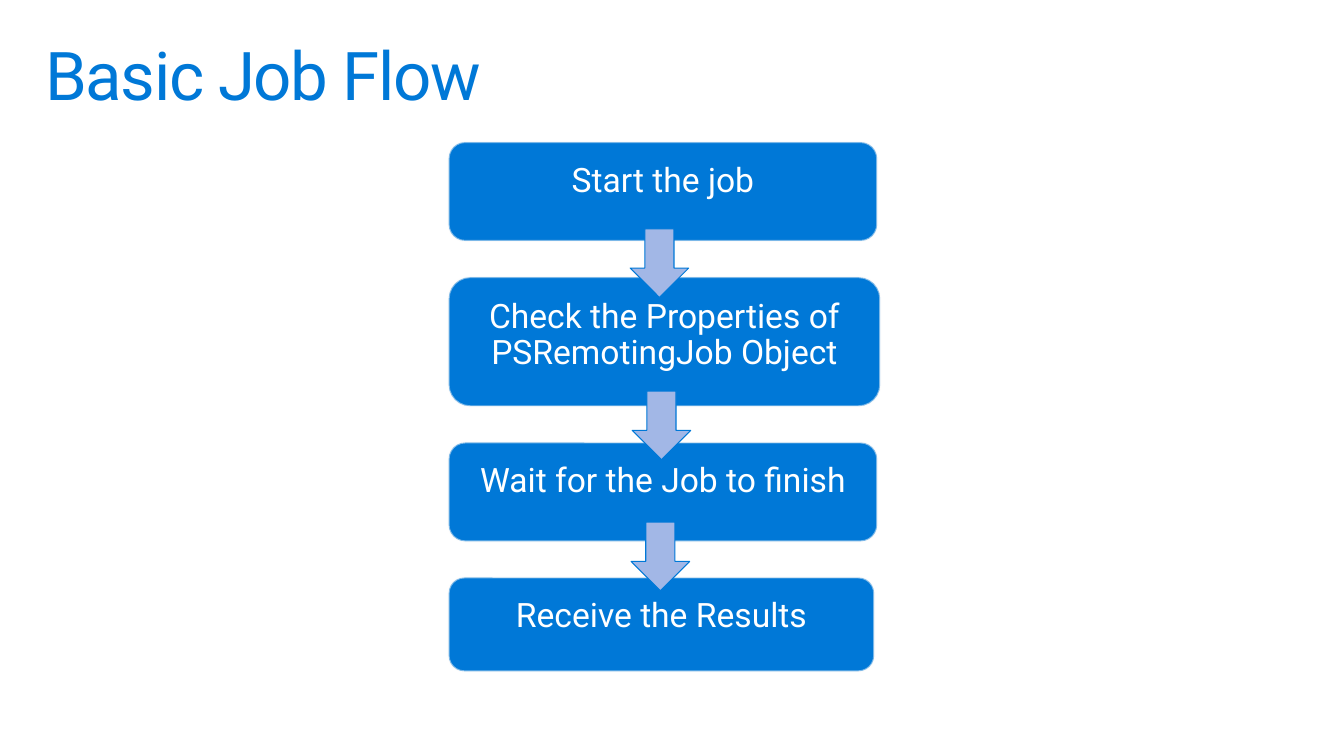
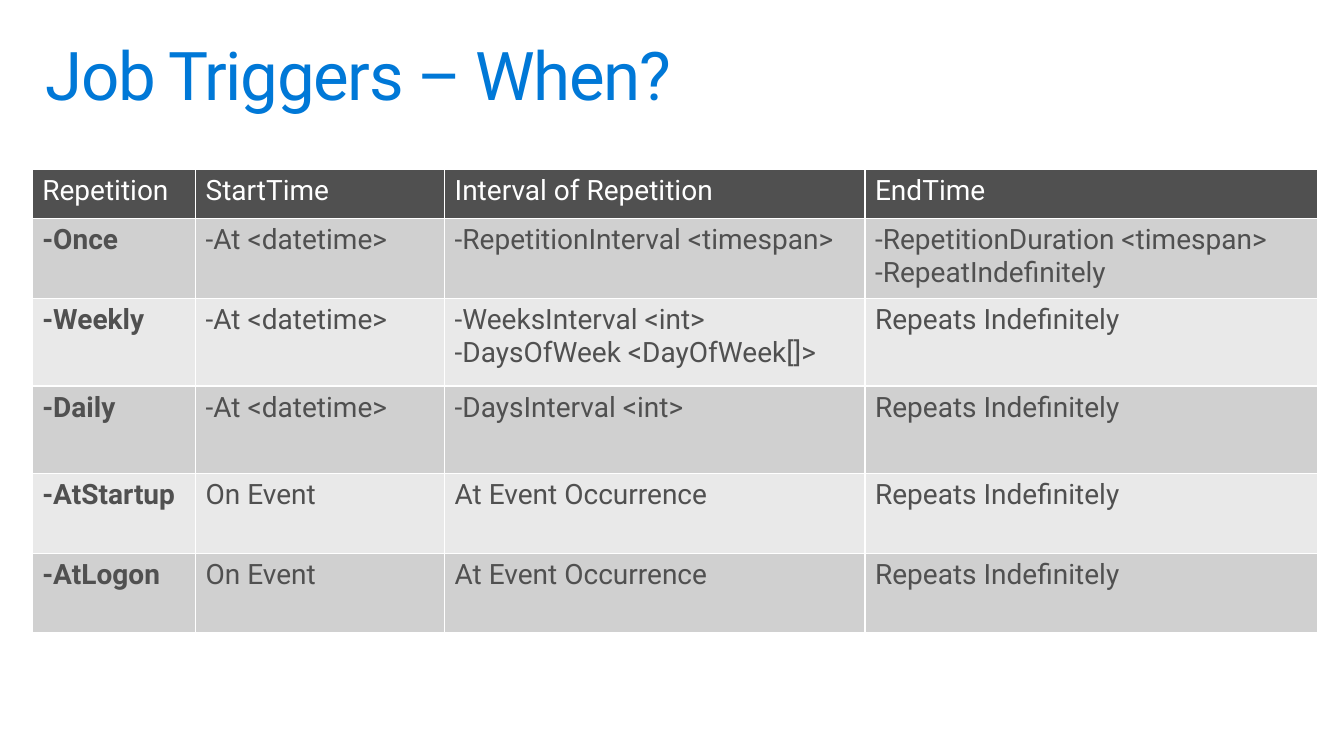
from lxml import etree
from pptx import Presentation
from pptx.dml.color import RGBColor
from pptx.enum.shapes import MSO_SHAPE
from pptx.enum.text import MSO_ANCHOR, MSO_AUTO_SIZE, PP_ALIGN
from pptx.oxml.ns import qn
from pptx.util import Inches, Pt

STEP_BOX = MSO_SHAPE.FLOWCHART_ALTERNATE_PROCESS
DOWN_ARROW = MSO_SHAPE.DOWN_ARROW
TOP = MSO_ANCHOR.TOP
NO_AUTOFIT = MSO_AUTO_SIZE.NONE
LEFT, CENTER = PP_ALIGN.LEFT, PP_ALIGN.CENTER

FONT = "Roboto"
TITLE_ONLY = 5
COLORS = {
    "blue": "0078D7",
    "outline": "F9F9F9",
    "arrow": "A2B7E6",
    "dark": "505050",
    "odd_row": "D0D0D0",
    "even_row": "E9E9E9",
    "white": "FFFFFF",
}

# Text, width and height of each step
STEPS = [
    ("Start the job", 4.25, 0.98),
    ("Check the Properties of PSRemotingJob Object", 4.28, 1.28),
    ("Wait for the Job to finish", 4.25, 0.98),
    ("Receive the Results", 4.22, 0.93),
]
STEP_LEFT, STEP_TOP, STEP_GAP = 4.45, 1.41, 0.36
ARROWS = [(6.25, 2.27), (6.27, 3.88), (6.26, 5.18)]
ARROW_WIDTH, ARROW_HEIGHT = 0.58, 0.68

COLUMN_WIDTHS = [1.62, 2.47, 4.17, 4.49]
ROW_HEIGHTS = [0.49, 0.79, 0.87, 0.87, 0.79, 0.79]
TRIGGERS = [
    ["Repetition", "StartTime", "Interval of Repetition", "EndTime"],
    ["-Once", "-At <datetime>", "-RepetitionInterval <timespan>",
     "-RepetitionDuration <timespan>\n-RepeatIndefinitely"],
    ["-Weekly", "-At <datetime>",
     "-WeeksInterval <int>\n-DaysOfWeek <DayOfWeek[]>", "Repeats Indefinitely"],
    ["-Daily", "-At <datetime>", "-DaysInterval <int>", "Repeats Indefinitely"],
    ["-AtStartup", "On Event", "At Event Occurrence", "Repeats Indefinitely"],
    ["-AtLogon", "On Event", "At Event Occurrence", "Repeats Indefinitely"],
]


def rgb(name):
    return RGBColor.from_string(COLORS[name])


class Deck:
    """Holds the shared style and the slide being built."""

    def __init__(self):
        self.presentation = Presentation()
        self.presentation.slide_width = Inches(13.33)
        self.presentation.slide_height = Inches(7.5)
        self.slide = None

    def add_slide(self, title):
        layout = self.presentation.slide_layouts[TITLE_ONLY]
        self.slide = self.presentation.slides.add_slide(layout)
        shape = self.slide.shapes.title
        shape.left, shape.top = Inches(0.29), Inches(0.32)
        shape.width, shape.height = Inches(12.75), Inches(0.98)
        self.set_text(shape.text_frame, title, 48, "blue", line_spacing=0.9)
        self.set_frame(shape.text_frame, 0.16, 0.1)
        for run in shape.text_frame.paragraphs[0].runs:
            run.font._element.set("spc", "-100")

    def set_frame(self, frame, side, edge):
        frame.word_wrap = True
        frame.auto_size = NO_AUTOFIT
        frame.vertical_anchor = TOP
        frame.margin_left = frame.margin_right = Inches(side)
        frame.margin_top = frame.margin_bottom = Inches(edge)

    def set_text(self, frame, text, size, color, bold=False, align=LEFT,
                 line_spacing=None):
        frame.text = text
        for paragraph in frame.paragraphs:
            paragraph.alignment = align
            paragraph.line_spacing = line_spacing
            font = paragraph.font
            font.name, font.size, font.bold = FONT, Pt(size), bold
            font.color.rgb = rgb(color)

    def add_shape(self, kind, left, top, width, height, fill, line, line_width):
        shape = self.slide.shapes.add_shape(
            kind, Inches(left), Inches(top), Inches(width), Inches(height))
        shape.shadow.inherit = False
        shape.fill.solid()
        shape.fill.fore_color.rgb = rgb(fill)
        shape.line.color.rgb = rgb(line)
        shape.line.width = Pt(line_width)
        return shape

    def add_step(self, text, left, top, width, height):
        shape = self.add_shape(STEP_BOX, left, top, width, height,
                               "blue", "outline", 1.35)
        line_color = shape.line._ln.find(".//" + qn("a:srgbClr"))
        etree.SubElement(line_color, qn("a:alpha"), val="50000")
        self.set_frame(shape.text_frame, 0.2, 0.16)
        self.set_text(shape.text_frame, text, 24, "white", align=CENTER,
                      line_spacing=0.9)

    def add_arrow(self, left, top):
        self.add_shape(DOWN_ARROW, left, top, ARROW_WIDTH, ARROW_HEIGHT,
                       "arrow", "blue", 0.75)

    def add_table(self, rows, left, top, column_widths, row_heights):
        table = self.slide.shapes.add_table(
            len(rows), len(column_widths), Inches(left), Inches(top),
            Inches(sum(column_widths)), Inches(sum(row_heights))).table
        for column, width in zip(table.columns, column_widths):
            column.width = Inches(width)
        for row, height in zip(table.rows, row_heights):
            row.height = Inches(height)
        for row_index, texts in enumerate(rows):
            header = row_index == 0
            band = "odd_row" if row_index % 2 else "even_row"
            for column_index, text in enumerate(texts):
                cell = table.cell(row_index, column_index)
                self.set_text(cell.text_frame, text, 20,
                              "white" if header else "dark",
                              bold=column_index == 0 and not header)
                self.set_borders(cell)
                cell.fill.solid()
                cell.fill.fore_color.rgb = rgb("dark" if header else band)

    def set_borders(self, cell):
        properties = cell._tc.get_or_add_tcPr()
        for side in ("a:lnL", "a:lnR", "a:lnT", "a:lnB"):
            line = etree.SubElement(properties, qn(side), w=str(Pt(1)))
            fill = etree.SubElement(line, qn("a:solidFill"))
            etree.SubElement(fill, qn("a:srgbClr"), val=COLORS["white"])


def build_job_flow(deck):
    deck.add_slide("Basic Job Flow")
    top = STEP_TOP
    for text, width, height in STEPS:
        deck.add_step(text, STEP_LEFT, top, width, height)
        top += height + STEP_GAP
    for left, arrow_top in ARROWS:
        deck.add_arrow(left, arrow_top)


def build_job_triggers(deck):
    deck.add_slide("Job Triggers – When?")
    deck.add_table(TRIGGERS, 0.32, 1.68, COLUMN_WIDTHS, ROW_HEIGHTS)


def main():
    deck = Deck()
    build_job_flow(deck)
    build_job_triggers(deck)
    deck.presentation.save("out.pptx")


if __name__ == "__main__":
    main()
